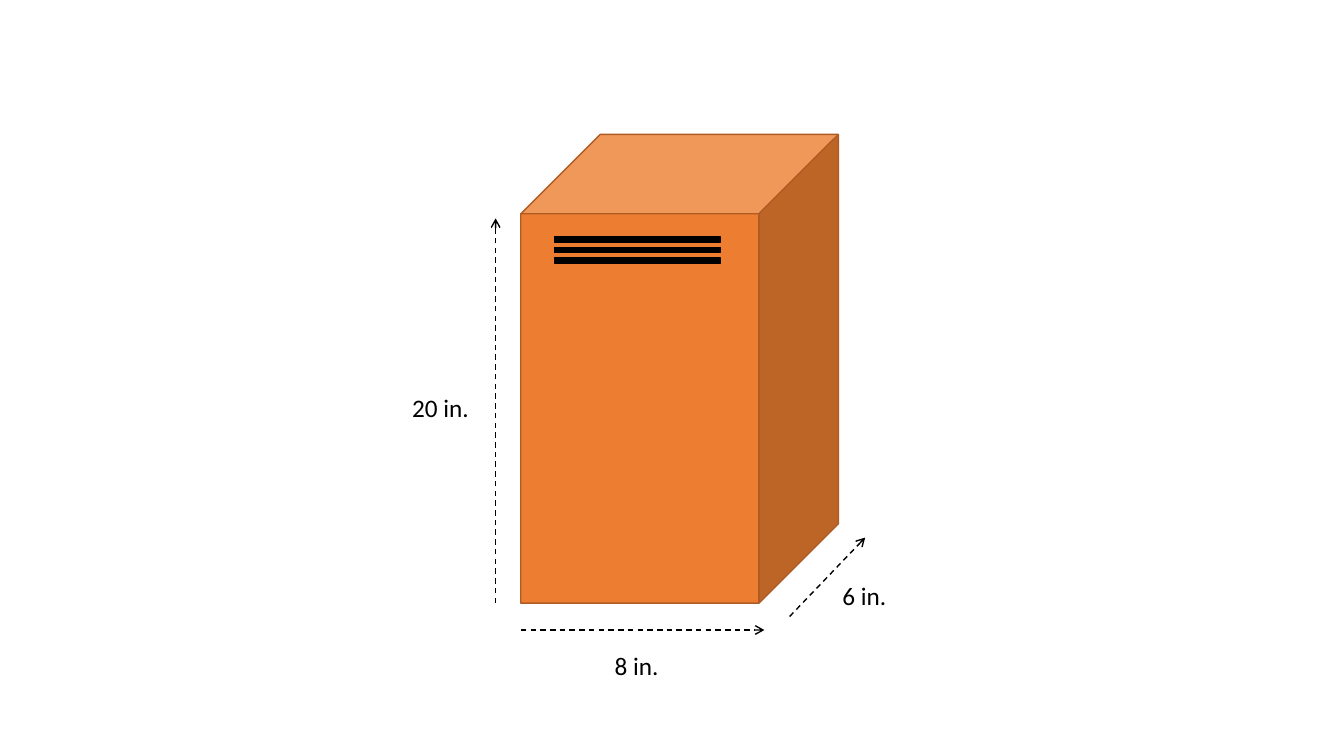
from dataclasses import dataclass
from typing import Any

from pptx import Presentation
from pptx import util as u
from pptx.dml.color import RGBColor
from pptx.enum import dml, shapes, text
from pptx.oxml.xmlchemy import OxmlElement

WIDE, HIGH = u.Inches(13.33), u.Inches(7.5)
COLS, ROWS = 160, 90
COLORS = {"body": "ED7D31", "edge": "AF5C24", "ink": "000000"}
FONT = {"name": "Calibri", "size": u.Pt(18)}
FRAME = {"word_wrap": False, "auto_size": text.MSO_AUTO_SIZE.SHAPE_TO_FIT_TEXT}
DASH = {"width": u.Pt(1), "dash_style": dml.MSO_LINE.DASH}


@dataclass(frozen=True)
class Box:
    col: float
    row: float
    wide: float
    high: float


@dataclass(frozen=True)
class Solid:
    kind: Any
    box: Box
    fill: str
    edge: str


@dataclass(frozen=True)
class Arrow:
    start: tuple[float, float]
    end: tuple[float, float]


@dataclass(frozen=True)
class Label:
    words: str
    box: Box


SLATS = 3
SOLIDS = [Solid(shapes.MSO_SHAPE.CUBE, Box(62, 16, 37.8, 55.8), "body", "edge")] + [
    Solid(shapes.MSO_SHAPE.RECTANGLE, Box(66, 28.2 + 1.26 * n, 19.8, 0.6), "ink", "ink")
    for n in range(SLATS)
]
ARROWS = [
    Arrow((59, 71.8), (59, 26)),
    Arrow((62, 75), (91, 75)),
    Arrow((94, 73.4), (103, 64)),
]
LABELS = [
    Label("8 in.", Box(72, 76.8, 7.7, 4.8)),
    Label("6 in.", Box(99.1, 68.5, 7.7, 4.8)),
    Label("20 in.", Box(47.9, 46.1, 9.1, 4.8)),
]


def across(col: float) -> int:
    return round(WIDE * col / COLS)


def down(row: float) -> int:
    return round(HIGH * row / ROWS)


def place(box: Box) -> tuple[int, int, int, int]:
    return across(box.col), down(box.row), across(box.wide), down(box.high)


def apply(target: Any, values: dict[str, Any]) -> None:
    for key, value in values.items():
        setattr(target, key, value)


def color(name: str) -> RGBColor:
    return RGBColor.from_string(COLORS[name])


def draw_solid(group: Any, solid: Solid) -> None:
    shape = group.shapes.add_shape(solid.kind, *place(solid.box))
    shape.shadow.inherit = False
    shape.fill.solid()
    shape.fill.fore_color.rgb = color(solid.fill)
    shape.line.color.rgb = color(solid.edge)
    shape.line.width = u.Pt(1)


def draw_arrow(slide: Any, arrow: Arrow) -> None:
    (left, top), (right, low) = arrow.start, arrow.end
    line = slide.shapes.add_connector(
        shapes.MSO_CONNECTOR.STRAIGHT, across(left), down(top), across(right), down(low)
    )
    line.line.color.rgb = color("ink")
    apply(line.line, DASH)
    tip = OxmlElement("a:tailEnd")
    tip.set("type", "arrow")
    line.line._get_or_add_ln().append(tip)
    line._element.spPr.append(OxmlElement("a:effectLst"))


def draw_label(slide: Any, label: Label) -> None:
    frame = slide.shapes.add_textbox(*place(label.box)).text_frame
    apply(frame, FRAME)
    run = frame.paragraphs[0].add_run()
    run.text = label.words
    apply(run.font, FONT)
    run.font.color.rgb = color("ink")


def main() -> None:
    deck = Presentation()
    apply(deck, {"slide_width": WIDE, "slide_height": HIGH})
    slide = deck.slides.add_slide(deck.slide_layouts[6])
    locker = slide.shapes.add_group_shape()
    for solid in SOLIDS:
        draw_solid(locker, solid)
    for arrow in ARROWS:
        draw_arrow(slide, arrow)
    for label in LABELS:
        draw_label(slide, label)
    deck.save("out.pptx")


if __name__ == "__main__":
    main()
